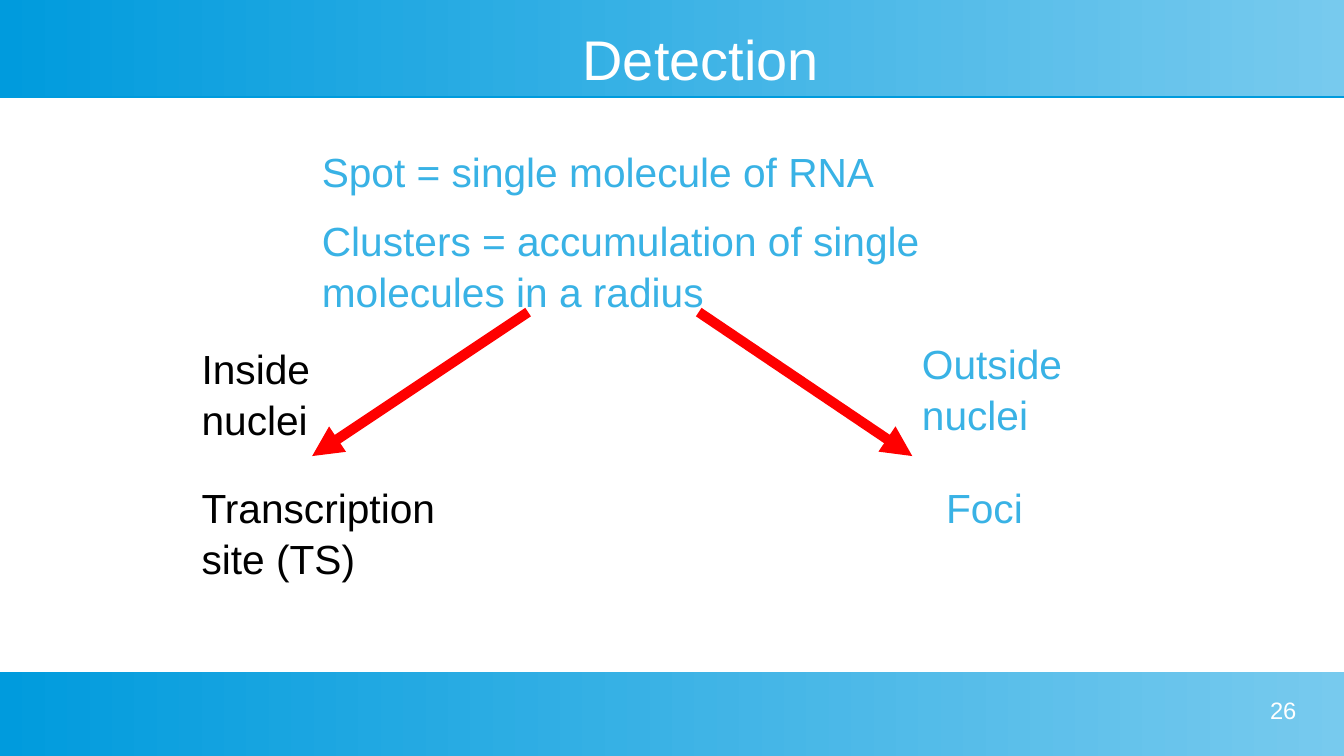
from lxml.etree import SubElement
from pptx import Presentation
from pptx.dml.color import RGBColor
from pptx.enum.shapes import MSO_CONNECTOR, MSO_SHAPE
from pptx.enum.text import MSO_ANCHOR, PP_ALIGN
from pptx.oxml.ns import qn
from pptx.util import Pt

DEEP = RGBColor(0x00, 0x9B, 0xDD)
PALE = RGBColor(0x77, 0xCA, 0xEE)
SKY = RGBColor(0x39, 0xB2, 0xE5)
RED = RGBColor(0xFF, 0x00, 0x00)
BLACK = RGBColor(0x00, 0x00, 0x00)
WHITE = RGBColor(0xFF, 0xFF, 0xFF)

WIDE, HIGH = 793.44, 446.4
BARS = [(0, 56.9), (396.9, 49.5)]
TITLE = "Detection"
PAGE = "26"
NOTES = [
    (190, 85, 448, SKY, ["Spot = single molecule of RNA",
                         "Clusters = accumulation of single molecules in a radius"]),
    (119, 283.5, 164.5, BLACK, ["Transcription site (TS)"]),
    (544.3, 198.5, 93.5, SKY, ["Outside nuclei"]),
    (119, 201.5, 79, BLACK, ["Inside nuclei"]),
    (558.5, 283.5, 65, SKY, ["Foci"]),
]
ARROWS = [(412.5, 538.6), (311.8, 184.3)]
ARROW_TOP, ARROW_END = 184.3, 269.3


def add_bar(slide, top, high):
    bar = slide.shapes.add_shape(MSO_SHAPE.RECTANGLE, 0, Pt(top), Pt(WIDE), Pt(high))
    bar.line.fill.background()
    bar.fill.gradient()
    bar.fill.gradient_angle = 0
    for stop, color in zip(bar.fill.gradient_stops, (DEEP, PALE)):
        stop.color.rgb = color
    bar.shadow.inherit = False
    effects = bar._element.spPr.find(qn("a:effectLst"))
    shade = SubElement(effects, qn("a:outerShdw"), blurRad="0",
                       dist=str(Pt(0.9)), dir="5400000", rotWithShape="0")
    SubElement(shade, qn("a:srgbClr"), val=str(DEEP))


def add_text(slide, left, top, wide, high, lines, size, color,
             align=PP_ALIGN.LEFT, anchor=MSO_ANCHOR.TOP, pitch=1.05):
    box = slide.shapes.add_textbox(Pt(left), Pt(top), Pt(wide), Pt(high))
    frame = box.text_frame
    frame.word_wrap = True
    frame.vertical_anchor = anchor
    frame.margin_left = frame.margin_right = 0
    frame.margin_top = frame.margin_bottom = 0
    for i, line in enumerate(lines):
        para = frame.add_paragraph() if i else frame.paragraphs[0]
        para.alignment = align
        para.line_spacing = pitch
        if i:
            para.space_before = Pt(10.6)
        run = para.add_run()
        run.text = line
        run.font.name = "Arial"
        run.font.size = Pt(size)
        run.font.color.rgb = color


def add_arrow(slide, start, end):
    arrow = slide.shapes.add_connector(MSO_CONNECTOR.STRAIGHT, Pt(start), Pt(ARROW_TOP),
                                       Pt(end), Pt(ARROW_END))
    arrow.line.color.rgb = RED
    arrow.line.width = Pt(6)
    SubElement(arrow.line._get_or_add_ln(), qn("a:tailEnd"), type="triangle")
    SubElement(arrow._element.spPr, qn("a:effectLst"))


def main():
    deck = Presentation()
    deck.slide_width, deck.slide_height = Pt(WIDE), Pt(HIGH)
    slide = deck.slides.add_slide(deck.slide_layouts[6])
    for top, high in BARS:
        add_bar(slide, top, high)
    add_text(slide, 62, 14.4, 703.4, 37.4, [TITLE], 33, WHITE,
             PP_ALIGN.CENTER, MSO_ANCHOR.MIDDLE)
    for left, top, wide, color, lines in NOTES:
        add_text(slide, left, top, wide, 42.5, lines, 24, color)
    for start, end in ARROWS:
        add_arrow(slide, start, end)
    add_text(slide, 581, 411.1, 184.4, 28, [PAGE], 14, WHITE, PP_ALIGN.RIGHT, pitch=1.0)
    deck.save("out.pptx")


if __name__ == "__main__":
    main()
